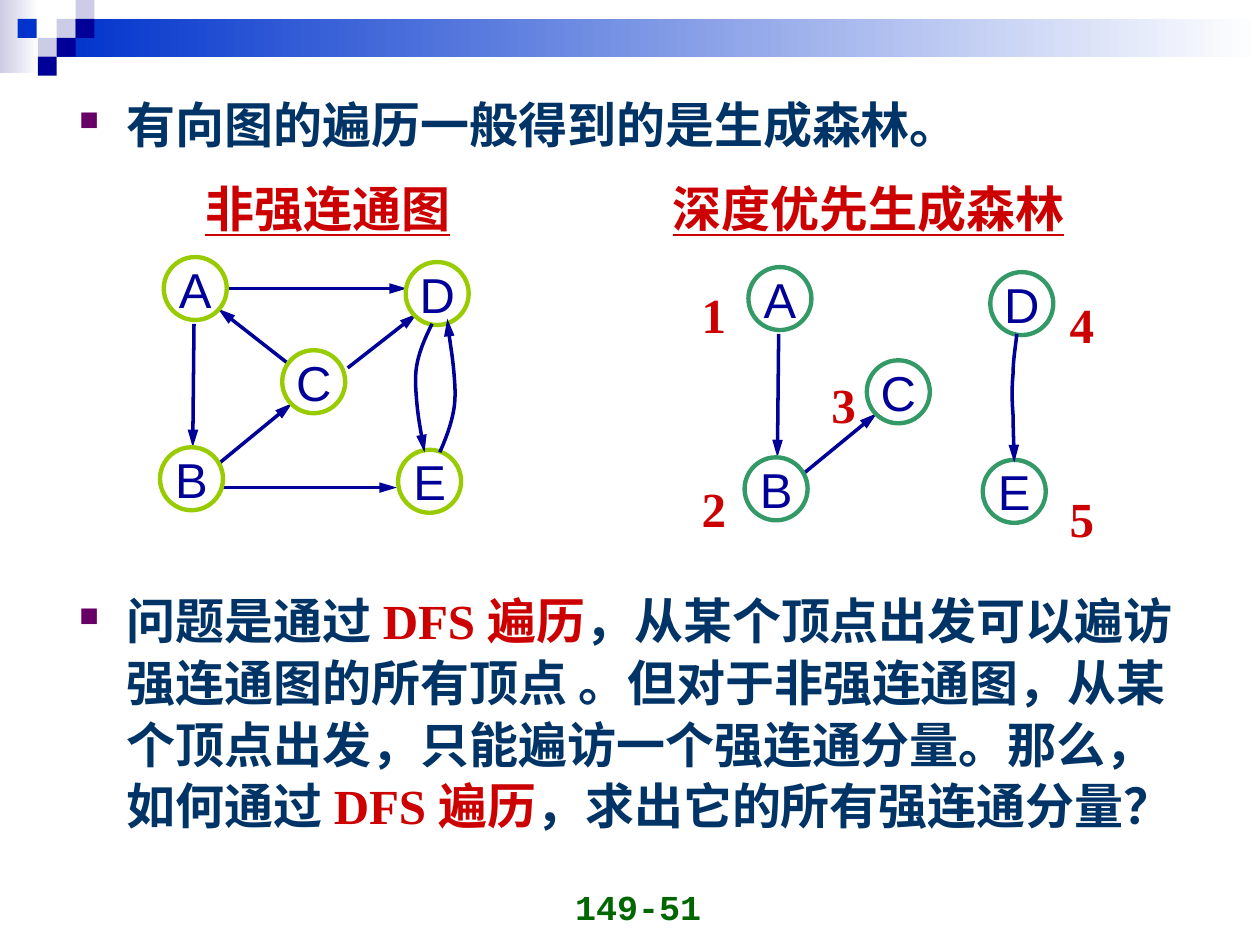
from dataclasses import dataclass
from typing import NamedTuple

from lxml.etree import SubElement as Sub
from pptx import Presentation
from pptx.dml.color import RGBColor as Rgb
from pptx.enum.shapes import MSO_CONNECTOR as Link, MSO_SHAPE as Kind
from pptx.enum.text import MSO_ANCHOR as Anchor, PP_ALIGN as Align
from pptx.oxml.ns import qn
from pptx.util import Inches, Pt


@dataclass(frozen=True)
class Theme:
    navy: str = "000099"
    blue: str = "0033CC"
    pale: str = "CCCCE6"
    white: str = "FFFFFF"
    ink: str = "003366"
    red: str = "CC0000"
    plum: str = "660066"
    page: str = "006600"
    lime: str = "99CC00"
    green: str = "339966"
    sans: str = "Arial"
    serif: str = "Times New Roman"
    mono: str = "Courier New"
    size: int = 28
    small: int = 20
    edge: float = 2
    ring: float = 2.5


class Node(NamedTuple):
    x: float
    y: float


class Edge(NamedTuple):
    x1: float
    y1: float
    x2: float
    y2: float


class Graph(NamedTuple):
    dx: float
    dy: float
    color: str
    edges: list
    curves: list


class Mark(NamedTuple):
    text: str
    x: float
    y: float


T = Theme()
SIDE = 0.15   # mosaic tile
RING = 0.5    # node diameter

TILES = [
    (0.45, 0.15, T.pale), (0.6, 0, T.pale), (0.6, 0.15, T.navy),
    (0.3, 0.3, T.pale), (0.14, 0.15, T.blue), (0.45, 0.3, T.navy),
    (0.3, 0.45, T.navy),
]
NODES = {
    "A": Node(1.3, 2.04), "B": Node(1.27, 3.55), "C": Node(2.24, 2.78),
    "D": Node(3.22, 2.08), "E": Node(3.16, 3.57),
}
EDGES = {
    "AB": Edge(1.54, 2.57, 1.53, 3.55), "BC": Edge(1.65, 3.75, 2.32, 3.2),
    "AD": Edge(1.81, 2.29, 3.23, 2.29), "BE": Edge(1.77, 3.87, 3.15, 3.87),
    "CA": Edge(2.28, 2.88, 1.73, 2.45), "CD": Edge(2.76, 2.92, 3.31, 2.49),
}
# Each curve is a start point followed by three control points per Bézier piece
DOWN = [(3.43, 2.57), (3.38, 2.67), (3.33, 2.78), (3.31, 2.89), (3.29, 2.99),
        (3.3, 3.09), (3.31, 3.21), (3.32, 3.33), (3.36, 3.53), (3.37, 3.59)]
UP = [(3.49, 3.59), (3.54, 3.48), (3.58, 3.37), (3.6, 3.26), (3.62, 3.15),
      (3.61, 3.05), (3.6, 2.93), (3.59, 2.81), (3.55, 2.59), (3.55, 2.53)]
TREE = [(3.43, 2.57), (3.42, 2.67), (3.4, 2.78), (3.4, 2.89), (3.39, 2.99),
        (3.39, 3.09), (3.4, 3.21), (3.4, 3.32), (3.41, 3.53), (3.41, 3.59)]
GRAPHS = [
    Graph(0, 0, T.lime, list(EDGES), [DOWN, UP]),
    Graph(4.64, 0.08, T.green, ["AB", "BC"], [TREE]),
]
MARKS = [Mark("1", 5.47, 2.21), Mark("2", 5.47, 3.75), Mark("3", 6.5, 2.92),
         Mark("4", 8.39, 2.29), Mark("5", 8.39, 3.83)]
DFS = ("DFS 遍历", T.serif, T.red)
POINTS = [
    [("有向图的遍历一般得到的是生成森林。", T.sans, T.ink)],
    [("问题是", T.sans, T.ink), ("通过 ", T.serif, T.ink), DFS,
     ("，从某个顶点出发可以遍访强连通图的所有顶点 。但对于非强连通图，"
      "从某个顶点出发，只能遍访一个强连通分量。那么，如何通过 ", T.serif, T.ink),
     DFS, ("，求出它的所有强连通分量？", T.serif, T.ink)],
]


def style(font, face: str, color: str, size: int = T.size, bold: bool = True) -> None:
    font.name, font.size, font.bold = face, Pt(size), bold
    font.color.rgb = Rgb.from_string(color)


def block(shapes, x: float, y: float, w: float, h: float, *fill: str, kind=Kind.RECTANGLE):
    """Draw a shape with one plain colour, or two for a gradient."""
    shape = shapes.add_shape(kind, Inches(x), Inches(y), Inches(w), Inches(h))
    shape.shadow.inherit = False
    shape.line.fill.background()
    if len(fill) == 1:
        shape.fill.solid()
        shape.fill.fore_color.rgb = Rgb.from_string(fill[0])
    else:
        shape.fill.gradient()
        shape.fill.gradient_angle = 0
        for stop, color in zip(shape.fill.gradient_stops, fill):
            stop.color.rgb = Rgb.from_string(color)
    return shape


def arrow(shape) -> None:
    shape.line.color.rgb = Rgb.from_string(T.navy)
    shape.line.width = Pt(T.edge)
    Sub(shape.line._get_or_add_ln(), qn("a:tailEnd"), type="triangle", w="med", len="lg")
    Sub(shape._element.spPr, qn("a:effectLst"))


def curve(shapes, points: list, dx: float, dy: float, steps: int = 10) -> None:
    spots = [(Inches(x + dx), Inches(y + dy)) for x, y in points]
    way = []
    for i in range(0, len(spots) - 1, 3):
        for n in range(1, steps + 1):
            t = n / steps
            part = ((1 - t) ** 3, 3 * t * (1 - t) ** 2, 3 * t * t * (1 - t), t ** 3)
            way.append([sum(k * p[a] for k, p in zip(part, spots[i:i + 4])) for a in (0, 1)])
    pen = shapes.build_freeform(*spots[0])
    pen.add_line_segments(way, close=False)
    shape = pen.convert_to_shape()
    shape.fill.background()
    arrow(shape)


def draw(shapes, graph: Graph) -> None:
    dx, dy = graph.dx, graph.dy
    for name in graph.edges:
        e = EDGES[name]
        arrow(shapes.add_connector(Link.STRAIGHT, Inches(e.x1 + dx), Inches(e.y1 + dy),
                                   Inches(e.x2 + dx), Inches(e.y2 + dy)))
    for name, node in NODES.items():
        ring = block(shapes, node.x + dx, node.y + dy, RING, RING, T.white, kind=Kind.OVAL)
        ring.line.color.rgb = Rgb.from_string(graph.color)
        ring.line.width = Pt(T.ring)
        frame = ring.text_frame
        frame.word_wrap = False
        frame.vertical_anchor = Anchor.MIDDLE
        frame.margin_left = frame.margin_right = frame.margin_top = frame.margin_bottom = 0
        para = frame.paragraphs[0]
        para.text, para.alignment = name, Align.CENTER
        style(para.font, T.sans, T.navy, bold=False)
    for points in graph.curves:
        curve(shapes, points, dx, dy)


def label(shapes, text: str, x: float, y: float, w: float, h: float):
    frame = shapes.add_textbox(Inches(x), Inches(y), Inches(w), Inches(h)).text_frame
    frame.word_wrap = True
    frame.paragraphs[0].text = text
    return frame


def bullet(para) -> None:
    props = para._p.get_or_add_pPr()
    props.set("marL", str(Inches(0.38)))
    props.set("indent", str(-Inches(0.38)))
    props.set("hangingPunct", "0")
    Sub(Sub(props, qn("a:buClr")), qn("a:srgbClr"), val=T.plum)
    Sub(props, qn("a:buSzPct"), val="55000")
    Sub(props, qn("a:buChar"), char="■")


def main() -> None:
    deck = Presentation()
    deck.slide_width, deck.slide_height = Inches(10), Inches(7.5)
    slide = deck.slides.add_slide(deck.slide_layouts[5])
    shapes = slide.shapes

    # Top band and mosaic
    block(shapes, 0, 0, 0.31, 0.58, T.pale, T.white)
    block(shapes, 0.45, 0.15, 9.55, 0.3, T.blue, T.white)
    for x, y, color in TILES:
        block(shapes, x, y, SIDE, SIDE, color)

    # Title: two headings set apart by a tab
    title = shapes.title
    title.left, title.top, title.width, title.height = map(Inches, (1.53, 1.33, 8.31, 0.73))
    title.text_frame.vertical_anchor = Anchor.MIDDLE
    para = title.text_frame.paragraphs[0]
    para.alignment, para.line_spacing = Align.LEFT, 0.8
    tabs = Sub(para._p.get_or_add_pPr(), qn("a:tabLst"))
    Sub(tabs, qn("a:tab"), pos=str(Inches(3.71)), algn="l")
    style(para.font, T.serif, T.red)
    for text in ("非强连通图", "\t", "深度优先生成森林"):
        run = para.add_run()
        run.text, run.font.underline = text, text != "\t"

    # Bullets, with room for the graphs between them
    frame = label(shapes, "", 0.53, 0.68, 9, 6.18)
    for i, parts in enumerate(POINTS):
        para = frame.add_paragraph() if i else frame.paragraphs[0]
        bullet(para)
        para.line_spacing = 1.05
        if i:
            para.space_before = Pt(248)
        para.font.size, para.font.bold = Pt(T.size), True
        for text, face, color in parts:
            run = para.add_run()
            run.text, run.font.name = text, face
            run.font.color.rgb = Rgb.from_string(color)

    # Graphs and visiting order
    for graph in GRAPHS:
        draw(shapes, graph)
    for mark in MARKS:
        frame = label(shapes, mark.text, mark.x, mark.y, 0.39, 0.57)
        style(frame.paragraphs[0].font, T.serif, T.red)

    # Page number
    frame = label(shapes, "149-51", 3.9, 6.91, 2.33, 0.5)
    frame.vertical_anchor = Anchor.BOTTOM
    frame.paragraphs[0].alignment = Align.CENTER
    style(frame.paragraphs[0].font, T.mono, T.page, T.small)

    deck.save("out.pptx")


if __name__ == "__main__":
    main()
